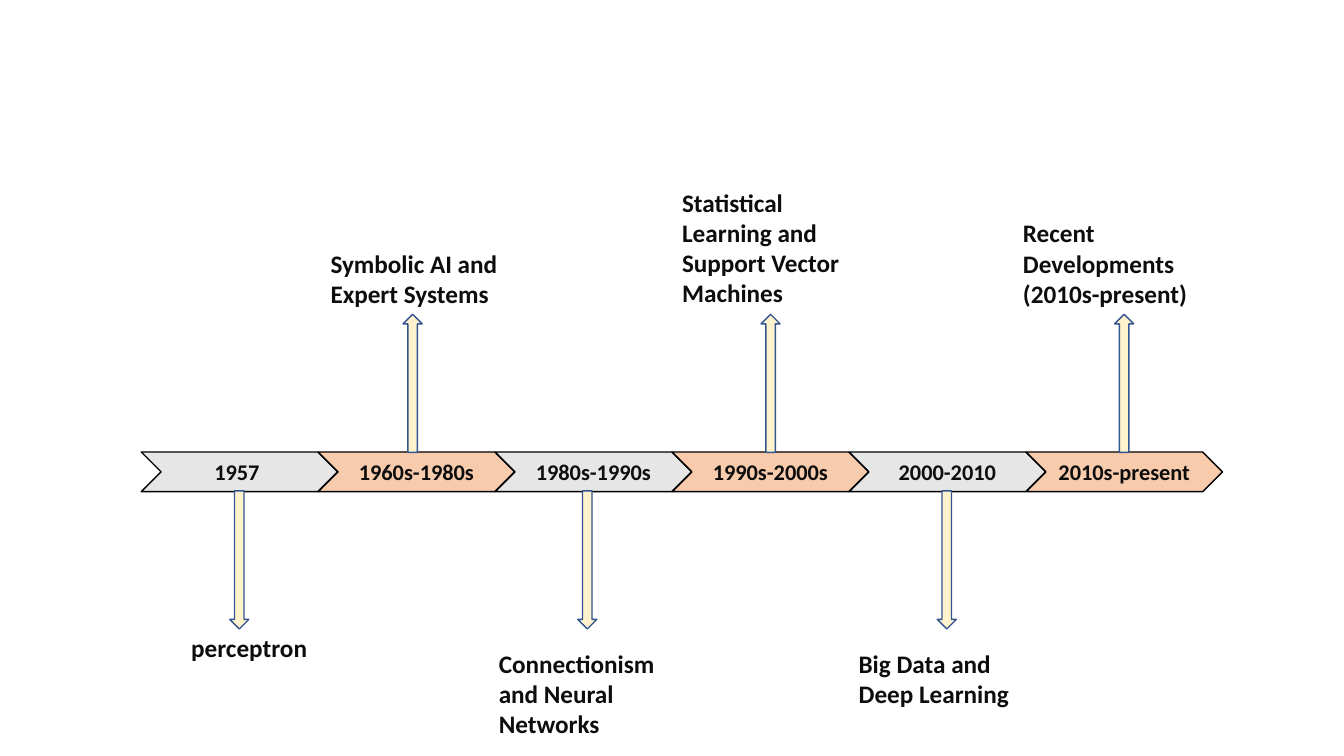
from pptx import Presentation
from pptx.dml.color import RGBColor
from pptx.enum.shapes import MSO_SHAPE as Preset
from pptx.enum.text import MSO_ANCHOR as Anchor, MSO_AUTO_SIZE as AutoSize, PP_ALIGN as Align
from pptx.util import Cm, Pt

COLORS = {
    "gray": "E7E6E6",
    "orange": "F8CBAD",
    "cream": "FFF2CC",
    "blue": "325491",
    "black": "000000",
    "text": "0D0D0D",
}

CHEVRON_LEFT, CHEVRON_TOP, CHEVRON_STEP = 3.56, 11.39, 4.46
ARROW_LENGTH, ARROW_THICKNESS = 3.48, 0.48
UPPER_ARROW_MIDDLE, LOWER_ARROW_MIDDLE = 9.66, 14.11
UPPER_LABEL_BOTTOM = 7.92
LINE_HEIGHT, LABEL_PADDING = 0.77, 0.25

PERIODS = ["1957 ", "1960s-1980s", "1980s-1990s", "1990s-2000s", "2000-2010", "2010s-present"]

# text, line count, label left, label top, arrow centre
LOWER_EVENTS = [
    ("perceptron", 1, 4.57, 15.8, 6.03),
    ("Connectionism and Neural Networks", 3, 12.32, 16.21, 14.8),
    ("Big Data and Deep Learning", 2, 21.39, 16.21, 23.86),
]
# text, line count, label left, arrow centre
UPPER_EVENTS = [
    ("Symbolic AI and Expert Systems", 2, 8.08, 10.4),
    ("Statistical Learning and Support Vector Machines", 4, 16.94, 19.42),
    ("Recent Developments (2010s-present)", 3, 25.53, 28.33),
]


def label_height(lines):
    return LABEL_PADDING + lines * LINE_HEIGHT


class Timeline:
    font_name = "Calibri"
    label_width = 5.28

    def __init__(self, slide):
        self.slide = slide

    def color(self, name):
        return RGBColor.from_string(COLORS[name])

    def add_text(self, paragraph, text, size):
        run = paragraph.add_run()
        run.text = text
        run.font.name = self.font_name
        run.font.size = Pt(size)
        run.font.bold = True
        run.font.color.rgb = self.color("text")

    def outlined(self, preset, left, top, width, height, fill, line):
        """Add a filled preset shape with a thin outline and no shadow."""
        shape = self.slide.shapes.add_shape(preset, Cm(left), Cm(top), Cm(width), Cm(height))
        shape.shadow.inherit = False
        shape.fill.solid()
        shape.fill.fore_color.rgb = self.color(fill)
        shape.line.color.rgb = self.color(line)
        shape.line.width = Pt(1)
        return shape

    def chevron(self, left, text, fill):
        shape = self.outlined(Preset.CHEVRON, left, CHEVRON_TOP, 4.95, 1, fill, "black")
        frame = shape.text_frame
        frame.word_wrap = False
        frame.vertical_anchor = Anchor.MIDDLE
        paragraph = frame.paragraphs[0]
        paragraph.alignment = Align.CENTER
        self.add_text(paragraph, text, 16)

    def arrow(self, center, middle, rotation):
        shape = self.outlined(Preset.RIGHT_ARROW, center - ARROW_LENGTH / 2,
                              middle - ARROW_THICKNESS / 2, ARROW_LENGTH,
                              ARROW_THICKNESS, "cream", "blue")
        shape.rotation = rotation

    def label(self, left, top, text, lines):
        box = self.slide.shapes.add_textbox(Cm(left), Cm(top), Cm(self.label_width),
                                            Cm(label_height(lines)))
        frame = box.text_frame
        frame.word_wrap = True
        frame.auto_size = AutoSize.SHAPE_TO_FIT_TEXT
        self.add_text(frame.paragraphs[0], text, 18)


def main():
    presentation = Presentation()
    presentation.slide_width = Cm(33.87)
    presentation.slide_height = Cm(19.05)
    timeline = Timeline(presentation.slides.add_slide(presentation.slide_layouts[6]))

    for index, period in enumerate(PERIODS):
        fill = "orange" if index % 2 else "gray"
        timeline.chevron(CHEVRON_LEFT + index * CHEVRON_STEP, period, fill)

    for text, lines, left, top, center in LOWER_EVENTS:
        timeline.label(left, top, text, lines)
        timeline.arrow(center, LOWER_ARROW_MIDDLE, 90)

    for text, lines, left, center in UPPER_EVENTS:
        timeline.label(left, UPPER_LABEL_BOTTOM - label_height(lines), text, lines)
        timeline.arrow(center, UPPER_ARROW_MIDDLE, 270)

    presentation.save("out.pptx")


if __name__ == "__main__":
    main()
